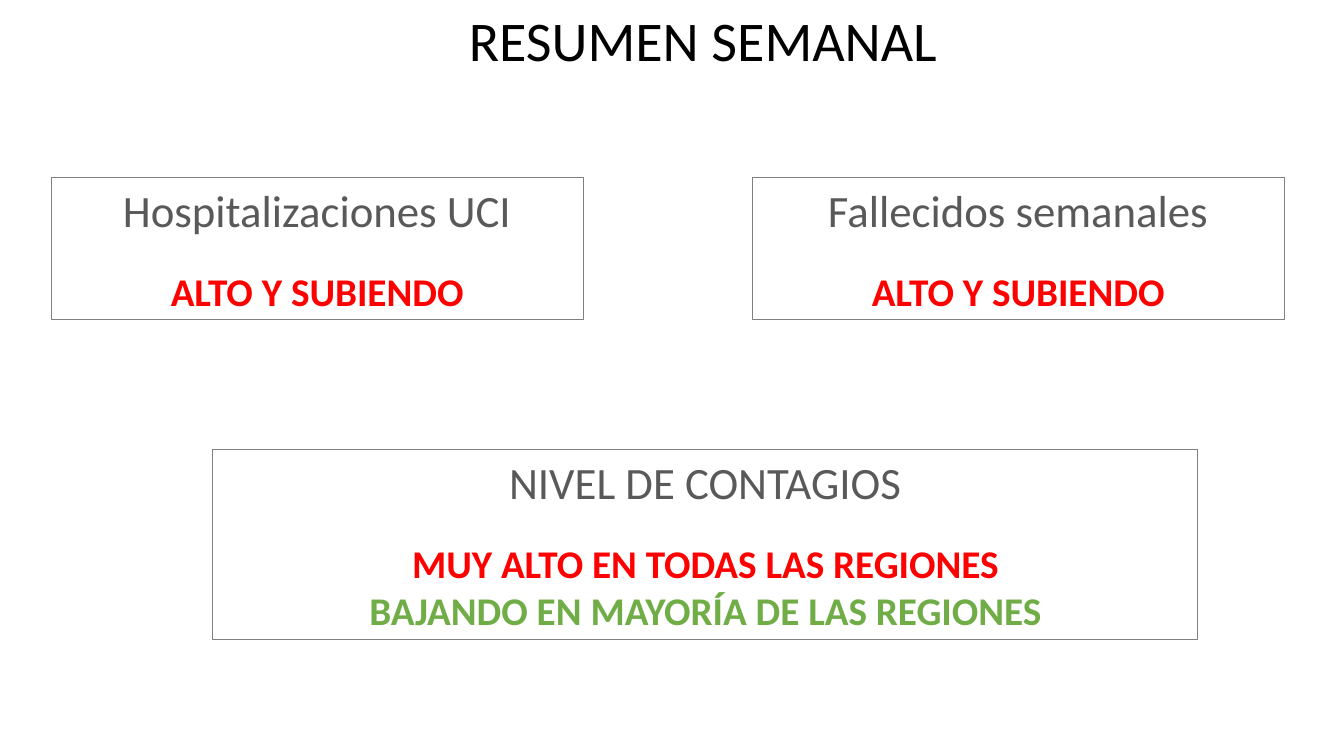
from pptx import Presentation
from pptx.dml.color import RGBColor
from pptx.enum.shapes import MSO_SHAPE as Shape
from pptx.enum.text import MSO_ANCHOR as Anchor, MSO_AUTO_SIZE as Fit, PP_ALIGN as Align
from pptx.util import Inches, Pt

WIDE, HIGH = Inches(13.33), Inches(7.5)
COL, ROW = WIDE / 100, HIGH / 100
FONT = "Calibri"
GREY, RED, GREEN = "595959", "FF0000", "70AD47"


def tint(color, code):
    """Set a color from a hex string."""
    color.rgb = RGBColor.from_string(code)


def place(shape, left, top, wide, high):
    """Put a shape on the grid of 100 columns and 100 rows."""
    shape.left, shape.top = round(left * COL), round(top * ROW)
    shape.width, shape.height = round(wide * COL), round(high * ROW)


def write(para, text, size, code, bold=False, align=Align.CENTER):
    """Add one formatted run to a paragraph."""
    para.alignment = align
    run = para.add_run()
    run.text = text
    run.font.name, run.font.size, run.font.bold = FONT, Pt(size), bold
    tint(run.font.color, code)


def head(slide, text):
    """Fill and place the slide title."""
    title = slide.shapes.title
    place(title, 34.13, 0, 36.7, 10.27)
    frame = title.text_frame
    frame.word_wrap, frame.auto_size = False, Fit.SHAPE_TO_FIT_TEXT
    frame.vertical_anchor = Anchor.TOP
    write(frame.paragraphs[0], text, 40, "000000", align=Align.LEFT)


def card(slide, spot, topic, states):
    """Draw an outlined box with a topic and its coloured states."""
    box = slide.shapes.add_shape(Shape.RECTANGLE, 0, 0, COL, ROW)
    place(box, *spot)
    box.shadow.inherit = False
    box.fill.background()
    tint(box.line.color, "808080")
    box.line.width = Pt(0.75)
    frame = box.text_frame
    frame.word_wrap, frame.auto_size = True, Fit.SHAPE_TO_FIT_TEXT
    frame.vertical_anchor = Anchor.TOP
    first = frame.paragraphs[0]
    write(first, topic, 32, GREY)
    first.space_after = Pt(22)
    for text, code in states:
        write(frame.add_paragraph(), text, 28, code, bold=True)


def main():
    """Build the weekly summary slide."""
    deck = Presentation()
    deck.slide_width, deck.slide_height = WIDE, HIGH
    slide = deck.slides.add_slide(deck.slide_layouts[5])
    head(slide, "RESUMEN SEMANAL")
    rise = [("ALTO Y SUBIENDO", RED)]
    topics = ("Hospitalizaciones UCI", "Fallecidos semanales")
    for i, topic in enumerate(topics):
        card(slide, (3.8 + 52.16 * i, 23.5, 39.6, 18.8), topic, rise)
    card(slide, (15.83, 59.47, 73.3, 25.07), "NIVEL DE CONTAGIOS", [
        ("MUY ALTO EN TODAS LAS REGIONES", RED),
        ("BAJANDO EN MAYORÍA DE LAS REGIONES", GREEN),
    ])
    deck.save("out.pptx")


if __name__ == "__main__":
    main()
